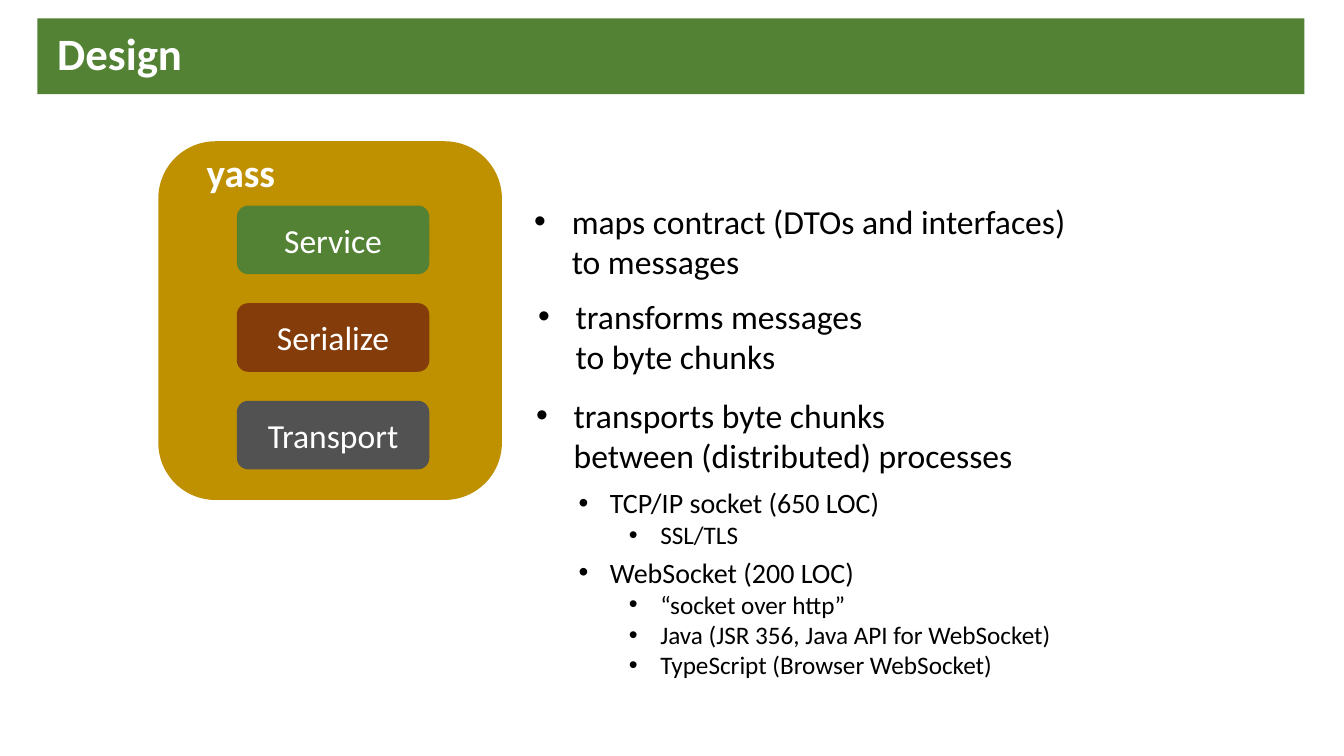
import pptx
import pptx.util
import pptx.dml.color
import pptx.enum.shapes
import pptx.enum.text
import pptx.oxml.ns
import lxml.etree

Cm = pptx.util.Cm
Pt = pptx.util.Pt
ALIGN = pptx.enum.text.PP_ALIGN
ANCHOR = pptx.enum.text.MSO_ANCHOR

COLORS = {
    "green": "548235",
    "gold": "BF9000",
    "brown": "843C0B",
    "gray": "525252",
    "white": "FFFFFF",
    "black": "000000",
}


def rgb(name):
    return pptx.dml.color.RGBColor.from_string(COLORS[name])


class SlideBuilder:
    font = "Calibri"

    def __init__(self, slide):
        self.slide = slide

    def format_runs(self, para, size, color, bold=False):
        for run in para.runs:
            run.font.name = self.font
            run.font.size = Pt(size)
            run.font.bold = bold
            run.font.color.rgb = rgb(color)

    def place(self, shape, left, top, width, height):
        shape.left, shape.top = Cm(left), Cm(top)
        shape.width, shape.height = Cm(width), Cm(height)

    def title(self, text, *bounds):
        title = self.slide.shapes.title
        self.place(title, *bounds)
        title.fill.solid()
        title.fill.fore_color.rgb = rgb("green")
        frame = title.text_frame
        frame.text = text
        frame.auto_size = pptx.enum.text.MSO_AUTO_SIZE.NONE
        frame.vertical_anchor = ANCHOR.MIDDLE
        frame.margin_left = Cm(0.5)
        para = frame.paragraphs[0]
        para.alignment = ALIGN.LEFT
        para.line_spacing = 0.9
        self.format_runs(para, 32, "white", bold=True)

    def rounded_box(self, group, bounds, fill, text="", size=24, bold=False):
        left, top, width, height = map(Cm, bounds)
        kind = pptx.enum.shapes.MSO_SHAPE.ROUNDED_RECTANGLE
        box = group.shapes.add_shape(kind, left, top, width, height)
        box.shadow.inherit = False
        box.fill.solid()
        box.fill.fore_color.rgb = rgb(fill)
        box.line.fill.background()
        if text:
            frame = box.text_frame
            frame.text = text
            frame.vertical_anchor = ANCHOR.MIDDLE
            para = frame.paragraphs[0]
            para.alignment = ALIGN.CENTER
            self.format_runs(para, size, "white", bold)

    def bullet(self, para, indent, hanging):
        """Give the paragraph a round bullet; both lengths are in centimetres."""
        properties = para._p.get_or_add_pPr()
        properties.set("marL", str(Cm(indent)))
        properties.set("indent", str(-Cm(hanging)))
        qn = pptx.oxml.ns.qn
        lxml.etree.SubElement(properties, qn("a:buFont")).set("typeface", "Arial")
        lxml.etree.SubElement(properties, qn("a:buChar")).set("char", "•")

    def bullet_list(self, bounds, heading, size, hanging, details=()):
        """Add a bulleted heading with optional second-level details."""
        box = self.slide.shapes.add_textbox(*map(Cm, bounds))
        frame = box.text_frame
        frame.word_wrap = True
        para = frame.paragraphs[0]
        para.text = heading
        self.bullet(para, hanging, hanging)
        self.format_runs(para, size, "black")
        for detail in details:
            para = frame.add_paragraph()
            para.text = detail
            para.level = 1
            self.bullet(para, hanging + 1.27, hanging)
            self.format_runs(para, 18, "black")


def main():
    deck = pptx.Presentation()
    deck.slide_width, deck.slide_height = Cm(33.87), Cm(19.05)
    slide = deck.slides.add_slide(deck.slide_layouts.get_by_name("Title Only"))
    builder = SlideBuilder(slide)
    builder.title("Design", 0.94, 0.46, 31.93, 1.91)

    responsibilities = [
        ((13.21, 4.93, 14.94, 2.31), "maps contract (DTOs and interfaces)\nto messages"),
        ((13.31, 7.32, 13.26, 2.31), "transforms messages\nto byte chunks"),
        ((13.26, 9.83, 14.86, 2.31),
         "transports byte chunks\nbetween (distributed) processes"),
    ]
    for bounds, text in responsibilities:
        builder.bullet_list(bounds, text, 24, 0.95)

    stack = slide.shapes.add_group_shape()
    builder.rounded_box(stack, (3.99, 3.56, 8.66, 9.04), "gold")
    builder.rounded_box(stack, (4.85, 3.76, 2.44, 1.14), "gold", "yass", 28, True)
    layers = [("Service", "green"), ("Serialize", "brown"), ("Transport", "gray")]
    for index, (name, color) in enumerate(layers):
        bounds = (5.97, 5.18 + 2.46 * index, 4.85, 1.73)
        builder.rounded_box(stack, bounds, color, name)

    builder.bullet_list((14.33, 12.12, 10.49, 1.88), "TCP/IP socket (650 LOC)",
                        20, 0.79, ["SSL/TLS"])
    builder.bullet_list((14.33, 13.87, 13.82, 3.43), "WebSocket (200 LOC)", 20, 0.79, [
        "“socket over http”",
        "Java (JSR 356, Java API for WebSocket)",
        "TypeScript (Browser WebSocket)",
    ])
    deck.save("out.pptx")


if __name__ == "__main__":
    main()
